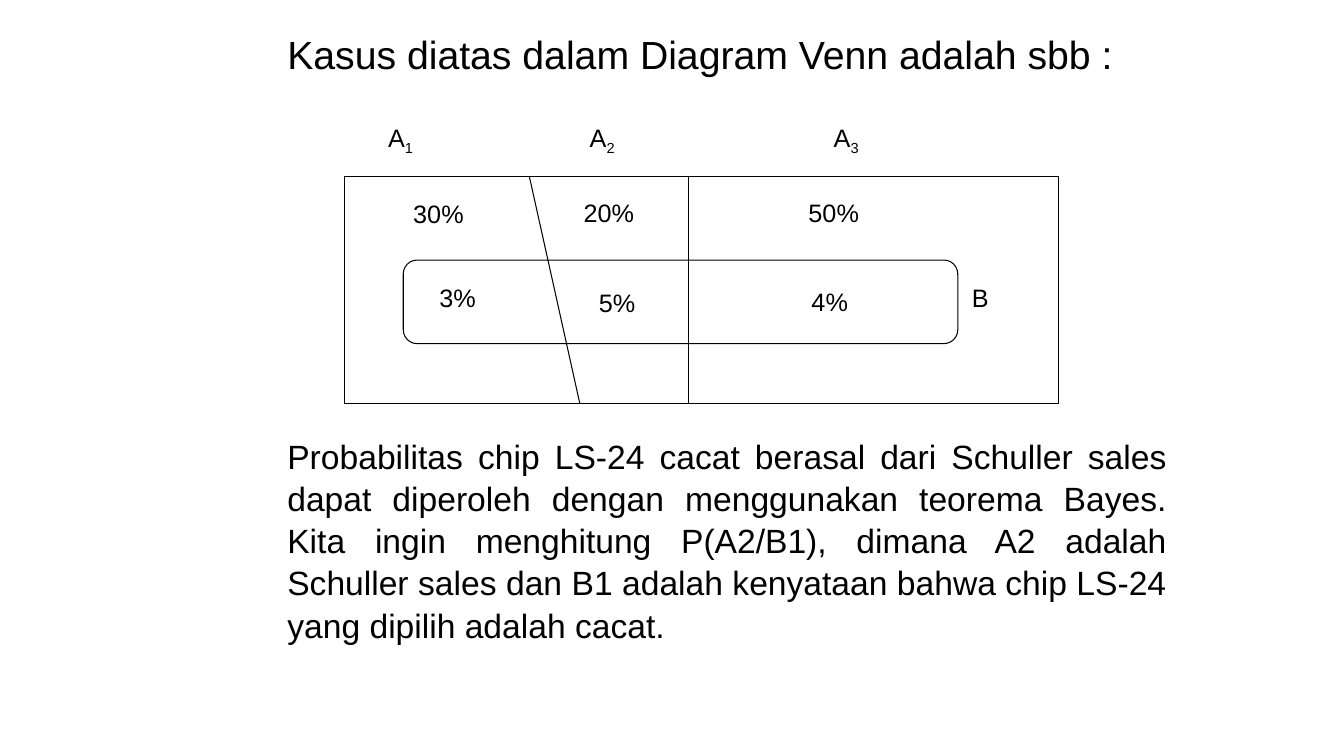
from pptx import Presentation, util as u
from pptx.dml.color import RGBColor
from pptx.enum import shapes, text
from pptx.oxml.ns import qn
from lxml import etree

COLORS = {"ink": "000000", "paper": "FFFFFF"}
INK = RGBColor.from_string(COLORS["ink"])
I = u.Inches

prs = Presentation()
prs.slide_width, prs.slide_height = I(13.33), I(7.5)
s = prs.slides.add_slide(prs.slide_layouts[1])
s.background.fill.solid()
s.background.fill.fore_color.rgb = RGBColor.from_string(COLORS["paper"])


def style_text(sp, size, align=text.PP_ALIGN.LEFT):
    tf = sp.text_frame
    tf.word_wrap = True
    tf.auto_size = text.MSO_AUTO_SIZE.SHAPE_TO_FIT_TEXT
    tf.vertical_anchor = text.MSO_ANCHOR.TOP
    p = tf.paragraphs[0]
    p.alignment = align
    p.space_before = u.Pt(0)
    p.font.size, p.font.name = u.Pt(size), "Arial"
    p.font.color.rgb = INK
    return p


def style_line(line):
    line.color.rgb = INK
    line.width = u.Pt(0.75)


# Title
title = s.shapes.title
title.left, title.top, title.width, title.height = I(2.75), I(0.25), I(8.67), I(0.57)
title.text_frame.text = "Kasus diatas dalam Diagram Venn adalah sbb :"
style_text(title, 28)

# Explanation, without bullet or indent
body = s.placeholders[1]
body.left, body.top, body.width, body.height = I(2.75), I(4.25), I(8.92), I(2.12)
body.text_frame.text = (
    "Probabilitas chip LS-24 cacat berasal dari Schuller sales dapat diperoleh "
    "dengan menggunakan teorema Bayes. Kita ingin menghitung P(A2/B1), dimana A2 "
    "adalah Schuller sales dan B1 adalah kenyataan bahwa chip LS-24 yang dipilih "
    "adalah cacat.")
p = style_text(body, 24, text.PP_ALIGN.JUSTIFY)
p.line_spacing = 1.05
pPr = p._p.get_or_add_pPr()
pPr.set("marL", "0")
pPr.set("indent", "0")
pPr.insert_element_before(etree.Element(qn("a:buNone")), "a:tabLst", "a:defRPr", "a:extLst")

# Sample space and event B
for kind, x, y, w, h in [
    (shapes.MSO_SHAPE.RECTANGLE, 3.42, 1.75, 7.08, 2.25),
    (shapes.MSO_SHAPE.ROUNDED_RECTANGLE, 4, 2.58, 5.5, 0.83),
]:
    sp = s.shapes.add_shape(kind, I(x), I(y), I(w), I(h))
    sp.shadow.inherit = False
    sp.fill.background()
    style_line(sp.line)

# Dividers between A1, A2 and A3
for x_top, x_bottom in [(5.25, 5.75), (6.83, 6.83)]:
    divider = s.shapes.add_connector(
        shapes.MSO_CONNECTOR.STRAIGHT, I(x_top), I(1.75), I(x_bottom), I(4))
    etree.SubElement(divider._element.spPr, qn("a:effectLst"))
    style_line(divider.line)

# Labels: text, subscript, left, top
for label, sub, x, y in [
    ("A", "1", 3.75, 1.16), ("A", "2", 5.75, 1.16), ("A", "3", 8.17, 1.16),
    ("30%", "", 4, 1.92), ("20%", "", 5.69, 1.91), ("50%", "", 7.92, 1.91),
    ("3%", "", 4.26, 2.75), ("5%", "", 5.84, 2.8), ("4%", "", 7.95, 2.79),
    ("B", "", 9.54, 2.75),
]:
    sp = s.shapes.add_textbox(I(x), I(y), I(1.08), I(0.4))
    sp.text_frame.text = label
    p = style_text(sp, 18)
    if sub:
        r = p.add_run()
        r.text = sub
        r.font._element.set("baseline", "-25000")

prs.save("out.pptx")
